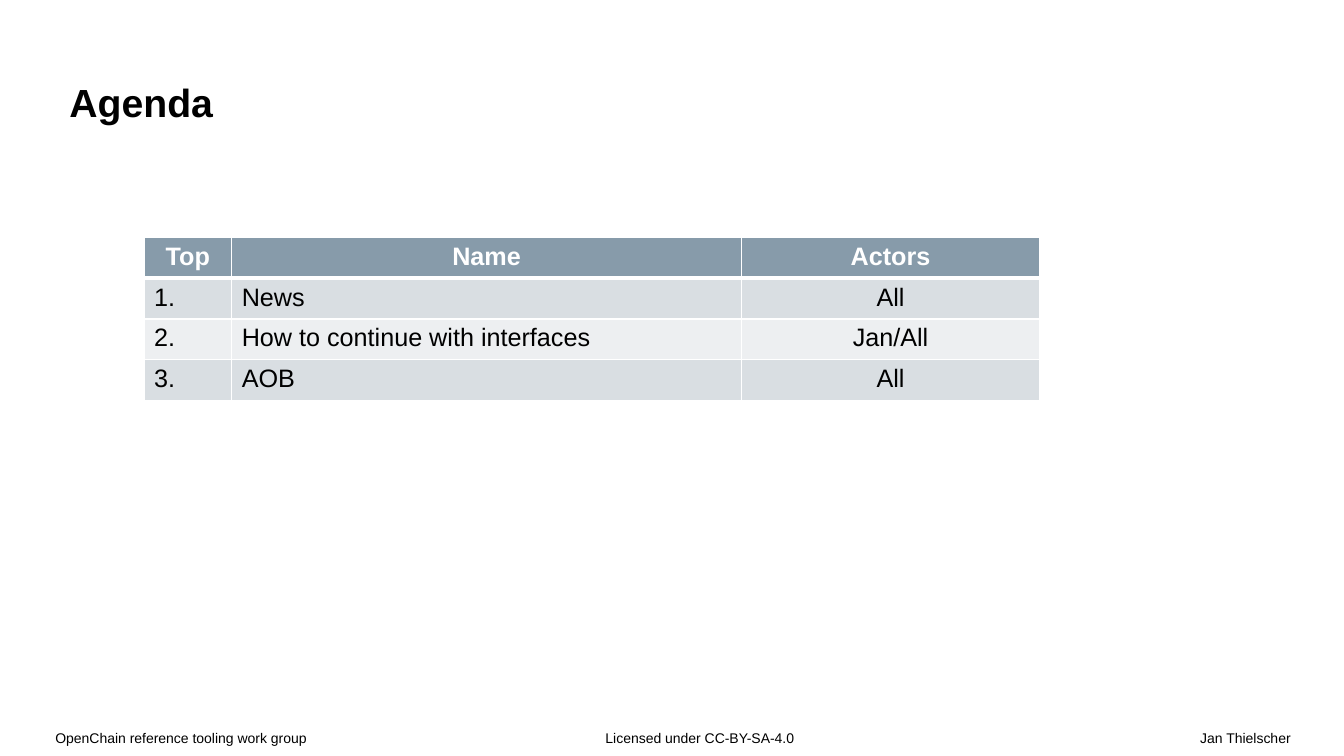
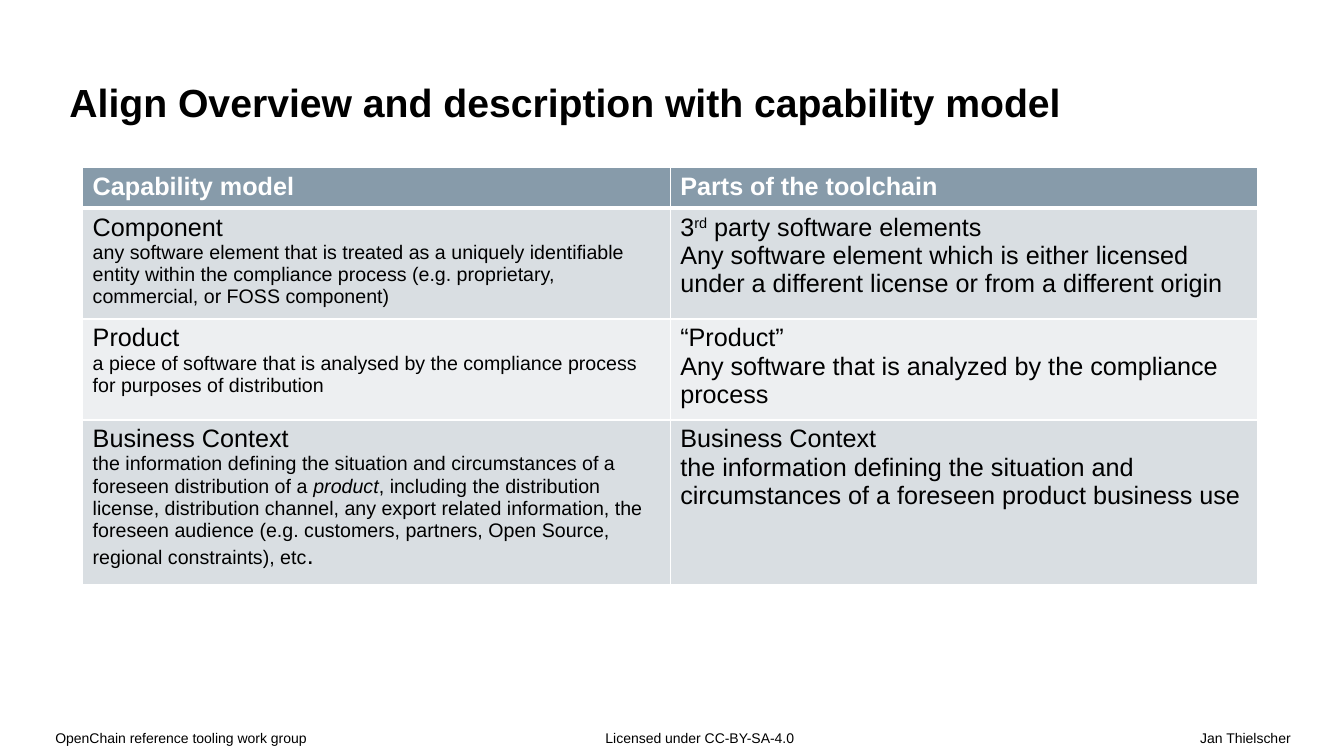
from lxml.etree import SubElement
from pptx import Presentation
from pptx.dml.color import RGBColor
from pptx.enum.text import MSO_ANCHOR, PP_ALIGN
from pptx.oxml.ns import qn
from pptx.util import Inches, Pt

WIDTH, HEIGHT = Inches(13.34), Inches(7.5)
FONT = "Arial"
COLORS = {
    "text": "000000",
    "header_text": "FFFFFF",
    "border": "FFFFFF",
    "header": "879BAA",
    "odd_row": "D9DEE2",
    "even_row": "EDEFF1",
}
LEFT, CENTER, RIGHT = PP_ALIGN.LEFT, PP_ALIGN.CENTER, PP_ALIGN.RIGHT

# Text formats
BODY = {"size": Pt(18), "bold": False}
HEADER = {"size": Pt(18), "bold": True}
TITLE = {"size": Pt(28), "bold": True}
FOOTER = {"size": Pt(10)}
SMALL = {"size": Pt(14)}
SMALL_ITALIC = {"size": Pt(14), "italic": True}
SUPERSCRIPT = {"baseline": 30000}

# Footer parts: text, left and width in percent, left and right inset, alignment
FOOTERS = [
    ("OpenChain reference tooling work group", 2.32, 25.49, 0.24, 0, LEFT),
    ("Licensed under CC-BY-SA-4.0", 39.88, 22.56, 0.69, 0, LEFT),
    ("Jan Thielscher", 31.03, 68.97, 0, 0.53, RIGHT),
]

AGENDA = [
    ["Top", "Name", "Actors"],
    ["1.", "News", "All"],
    ["2.", "How to continue with interfaces", "Jan/All"],
    ["3.", "AOB", "All"],
]

# A cell is a string or a list of paragraphs; a paragraph is a list of
# (text, format) spans
CAPABILITIES = [
    ["Capability model", "Parts of the toolchain"],
    [
        [
            [("Component", {})],
            [("any software element that is treated as a uniquely identifiable "
              "entity within the compliance process (e.g. proprietary, "
              "commercial, or FOSS component)", SMALL)],
        ],
        [
            [("3", {}), ("rd", SUPERSCRIPT), (" party software elements", {})],
            [("Any software element which is either licensed under a different "
              "license or from a different origin", {})],
        ],
    ],
    [
        [
            [("Product", {})],
            [("a piece of software that is analysed by the compliance process "
              "for purposes of distribution", SMALL)],
        ],
        [
            [("“Product”", {})],
            [("Any software that is analyzed by the compliance process", {})],
        ],
    ],
    [
        [
            [("Business Context", {})],
            [("the information defining the situation and circumstances of a "
              "foreseen distribution of a ", SMALL),
             ("product", SMALL_ITALIC),
             (", including the distribution license, distribution channel, any "
              "export related information, the foreseen audience (e.g. "
              "customers, partners, Open Source, regional constraints), etc",
              SMALL),
             (".", {})],
        ],
        [
            [("Business Context", {})],
            [("the information defining the situation and circumstances of a "
              "foreseen product business use", {})],
        ],
    ],
]


def across(percent):
    return round(WIDTH * percent / 100)


def down(percent):
    return round(HEIGHT * percent / 100)


def add_span(para, text, color, formats):
    span = para.add_run()
    span.text = text
    span.font.name = FONT
    span.font.color.rgb = RGBColor.from_string(COLORS[color])
    for name, value in formats.items():
        if name == "baseline":
            span._r.get_or_add_rPr().set(name, str(value))
        else:
            setattr(span.font, name, value)


def write(frame, content, formats, color="text", align=LEFT, spacing=1.0):
    """Fill a text frame with a string or a list of paragraphs."""
    paragraphs = [[(content, {})]] if isinstance(content, str) else content
    for index, spans in enumerate(paragraphs):
        para = frame.add_paragraph() if index else frame.paragraphs[0]
        para.alignment = align
        para.line_spacing = spacing
        for text, changes in spans:
            add_span(para, text, color, {**formats, **changes})


def add_box(page, place, insets, anchor=MSO_ANCHOR.TOP):
    frame = page.shapes.add_textbox(*place).text_frame
    frame.word_wrap = True
    frame.vertical_anchor = anchor
    for side, inset in zip(("left", "top", "right", "bottom"), insets):
        setattr(frame, f"margin_{side}", Inches(inset))
    return frame


def add_page(deck, title):
    """Add a blank page with the shared footer and title."""
    page = deck.slides.add_slide(deck.slide_layouts[6])
    for text, left, width, inset_left, inset_right, align in FOOTERS:
        place = across(left), down(96.27), across(width), down(3.73)
        frame = add_box(page, place, (inset_left, 0, inset_right, 0.13))
        write(frame, text, FOOTER, align=align, spacing=1.1)
    frame = add_box(page, (0, 0, WIDTH, down(18.53)),
                    (0.69, 0.43, 2.32, 0.26), MSO_ANCHOR.BOTTOM)
    write(frame, title, TITLE)
    return page


def add_borders(cell, widths):
    properties = cell._tc.get_or_add_tcPr()
    for side, width in widths.items():
        line = SubElement(properties, qn(f"a:ln{side}"), w=str(Pt(width)))
        fill = SubElement(line, qn("a:solidFill"))
        SubElement(fill, qn("a:srgbClr"), val=COLORS["border"])


def add_grid(page, left, top, columns, heights, rows, aligns, header_aligns):
    """Add a table with a header row and alternating row colours."""
    grid = page.shapes.add_table(
        len(rows), len(columns), across(left), down(top),
        across(sum(columns)), down(sum(heights))).table
    for column, width in zip(grid.columns, columns):
        column.width = across(width)
    for row, height in zip(grid.rows, heights):
        row.height = down(height)
    for r, contents in enumerate(rows):
        is_header = r == 0
        fill = "header" if is_header else "odd_row" if r % 2 else "even_row"
        for c, content in enumerate(contents):
            cell = grid.cell(r, c)
            add_borders(cell, {"L": 1, "R": 1, "T": 3 if r == 1 else 1,
                               "B": 3 if is_header else 1})
            cell.fill.solid()
            cell.fill.fore_color.rgb = RGBColor.from_string(COLORS[fill])
            write(cell.text_frame, content,
                  HEADER if is_header else BODY,
                  "header_text" if is_header else "text",
                  (header_aligns if is_header else aligns)[c])


def main():
    deck = Presentation()
    deck.slide_width, deck.slide_height = WIDTH, HEIGHT

    # Agenda
    page = add_page(deck, "Agenda")
    add_grid(page, 10.72, 31.4, [6.52, 37.93, 22.19], [5.4] * 4, AGENDA,
             [LEFT, LEFT, CENTER], [CENTER] * 3)

    # Capability model
    page = add_page(deck, "Align Overview and description with capability model")
    add_grid(page, 6.15, 22.13, [43.72] * 2, [5.4, 13.87, 12.53, 20.53],
             CAPABILITIES, [LEFT] * 2, [LEFT] * 2)

    deck.save("out.pptx")


if __name__ == "__main__":
    main()
